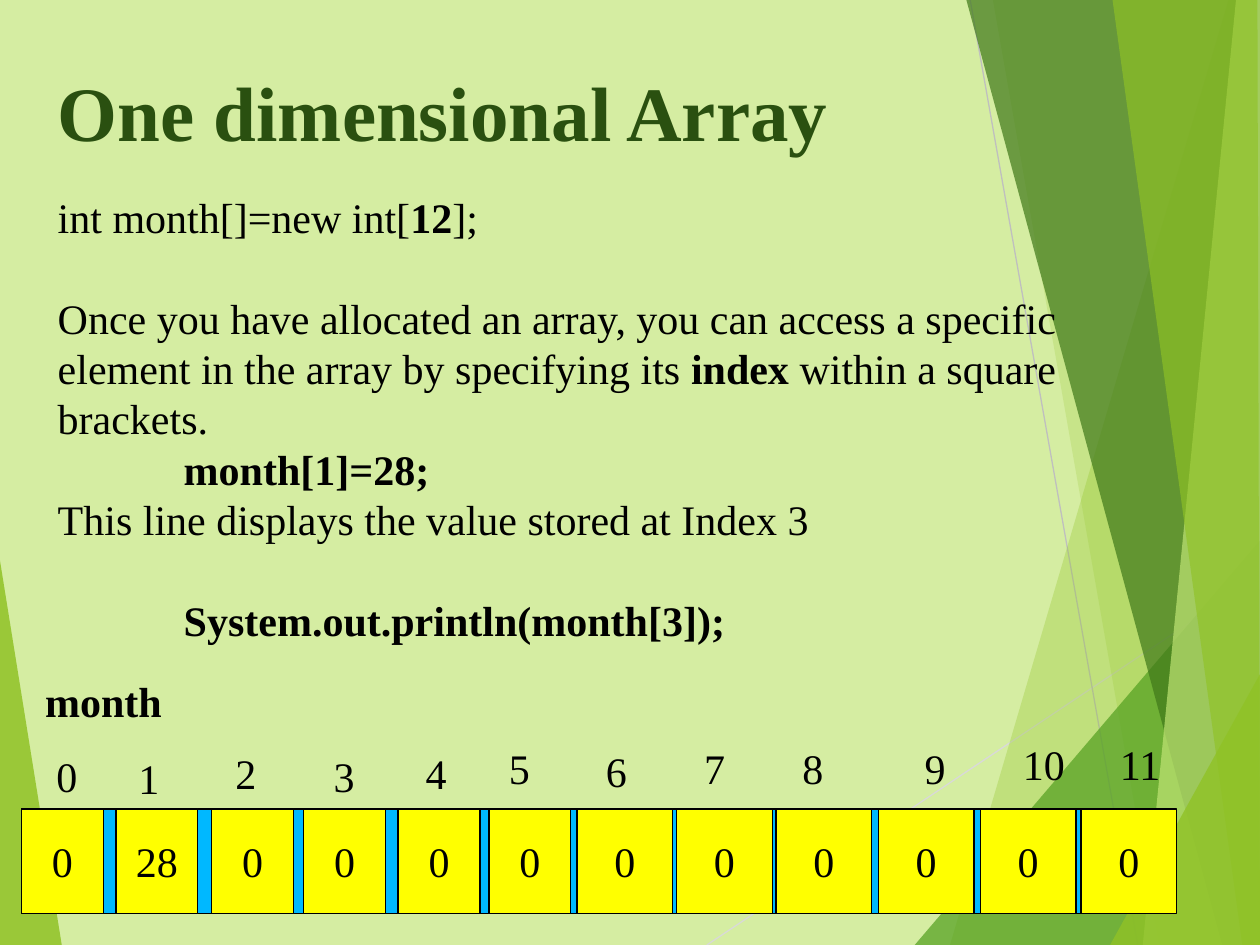
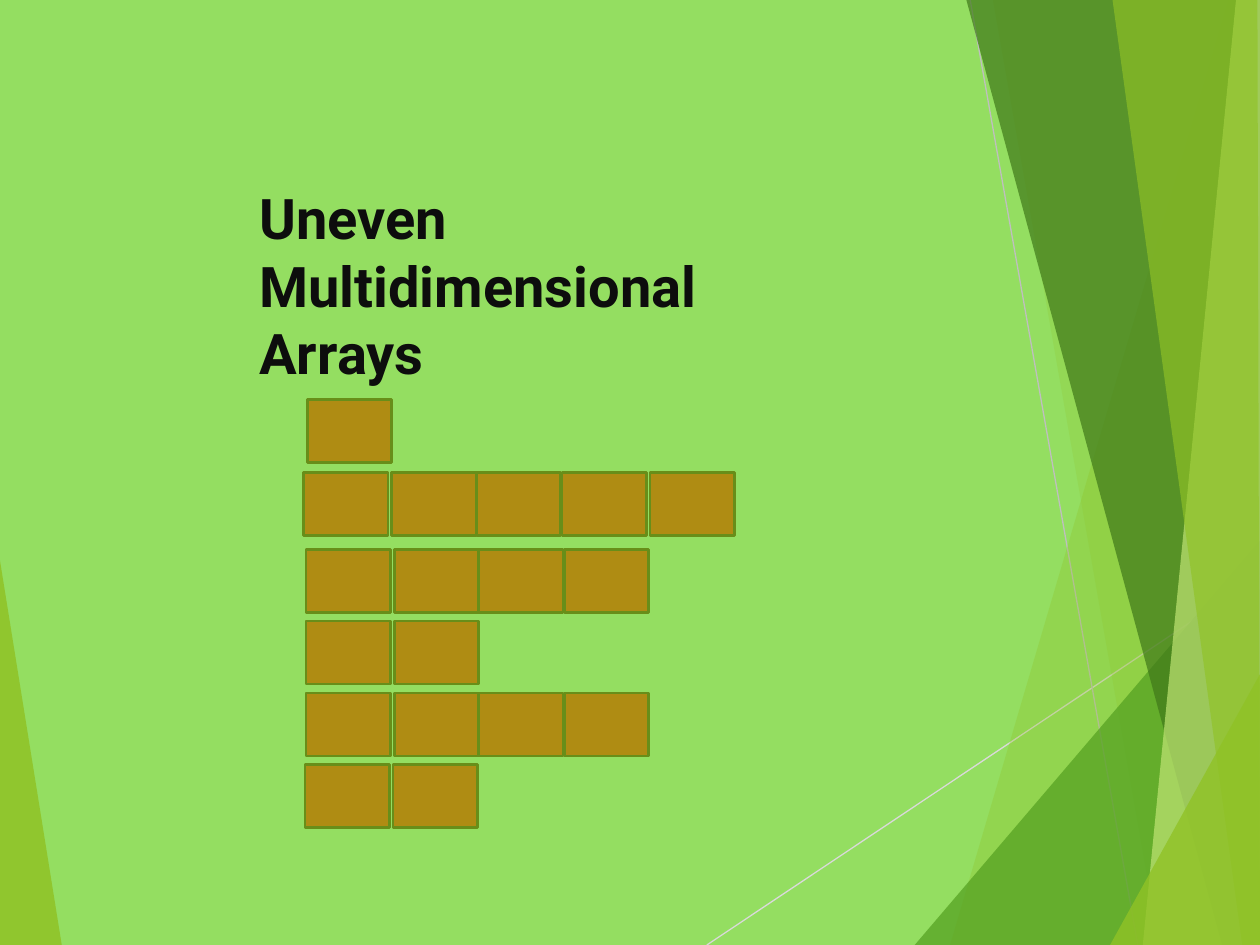
from lxml import etree
from pptx import Presentation
from pptx.dml.color import RGBColor
from pptx.enum import shapes, text
from pptx.oxml import ns
from pptx.util import Inches, Pt

WIDTH, HEIGHT = 10, 7.5
SERIF = {"name": "Times New Roman", "size": Pt(24), "color": "000000"}
SERIF_TITLE = {**SERIF, "size": Pt(44), "color": "2A5010", "bold": True}
ROBOTO_TITLE = {"name": "Roboto", "size": Pt(32), "color": "0D0D0D", "bold": True}
BLANK_LINE = Pt(28.8)

# Shared backdrop: colour, opacity in percent, corner points
LEFT_BAND = ("90C226", 85, [(0, 4.45), (0.49, HEIGHT), (0, HEIGHT)])
RAYS = [("D9D9D9", (5.61, HEIGHT), (WIDTH, 4.57)),
        ("BFBFBF", (7.7, 0), (9.03, HEIGHT))]
RIGHT_BANDS = [
    ("90C226", 30, [(9.75, 0), (7.54, HEIGHT), (WIDTH, HEIGHT), (WIDTH, 0)]),
    ("90C226", 20, [(7.88, 0), (9.2, HEIGHT), (WIDTH, HEIGHT), (WIDTH, 0)]),
    ("54A021", 72, [(7.26, HEIGHT), (WIDTH, 4.29), (WIDTH, HEIGHT)]),
    ("3F7819", 70, [(7.67, 0), (9.7, HEIGHT), (WIDTH, HEIGHT), (WIDTH, 0)]),
    ("C0E474", 70, [(9.81, 0), (9.07, HEIGHT), (WIDTH, HEIGHT), (WIDTH, 0)]),
    ("90C226", 65, [(8.83, 0), (9.86, HEIGHT), (WIDTH, HEIGHT), (9.98, 0)]),
    ("90C226", 80, [(8.81, HEIGHT), (WIDTH, 5.35), (WIDTH, HEIGHT)]),
]

# Paragraphs: indent in inches, space before, spans of (words, bold)
EXPLANATION = [
    (0, 0, [("int month[]=new int[", False), ("12", True), ("];", False)]),
    (0, BLANK_LINE, [
        ("Once you have allocated an array, you can access a specific "
         "element in the array by specifying its ", False),
        ("index", True), (" within a square brackets.", False)]),
    (1, 0, [("month[1]=28;", True)]),
    (0, 0, [("This line displays the value stored at Index 3", False)]),
    (1, BLANK_LINE, [("System.out.println(month[3]);", True)]),
]

# Value, cell left, cell width, index label left and top
NARROW, WIDE = 0.65, 0.76
MONTH_CELLS = [
    (0, 0.17, NARROW, 0.35, 5.91), (28, 0.92, NARROW, 1, 5.92),
    (0, 1.68, NARROW, 1.77, 5.88), (0, 2.41, NARROW, 2.55, 5.91),
    (0, 3.16, NARROW, 3.28, 5.88), (0, 3.88, NARROW, 3.94, 5.84),
    (0, 4.58, WIDE, 4.71, 5.87), (0, 5.37, WIDE, 5.49, 5.84),
    (0, 6.16, WIDE, 6.27, 5.84), (0, 6.97, WIDE, 7.24, 5.84),
    (0, 7.78, WIDE, 8.02, 5.81), (0, 8.58, WIDE, 8.79, 5.81),
]
MONTH_TOP, MONTH_HEIGHT = 6.42, 0.83

# Left, top and number of cells in each row
UNEVEN_ROWS = [(2.44, 3.17, 1), (2.41, 3.75, 5), (2.43, 4.36, 4),
               (2.43, 4.93, 2), (2.43, 5.5, 4), (2.42, 6.07, 2)]
COLUMN_OFFSETS = [0, 0.7, 1.37, 2.05, 2.75]


def rgb(color):
    return RGBColor.from_string(color)


def paint(shape, fill, line=None, width=0.75):
    shape.shadow.inherit = False
    shape.fill.solid()
    shape.fill.fore_color.rgb = rgb(fill)
    if line:
        shape.line.color.rgb = rgb(line)
        shape.line.width = Pt(width)
    else:
        shape.line.fill.background()


def add_span(para, words, style):
    span = para.add_run()
    span.text = words
    for name, value in style.items():
        if name == "color":
            span.font.color.rgb = rgb(value)
        else:
            setattr(span.font, name, value)


def add_box(page, area, words, style):
    """Add a text box that grows with its unwrapped lines."""
    frame = page.shapes.add_textbox(*map(Inches, area)).text_frame
    frame.word_wrap = False
    frame.auto_size = text.MSO_AUTO_SIZE.SHAPE_TO_FIT_TEXT
    para = frame.paragraphs[0]
    for number, line in enumerate(words.split("\n")):
        if number:
            para.add_line_break()
        add_span(para, line, style)


def add_rectangle(page, area, fill, line, width=0.75):
    shape = page.shapes.add_shape(shapes.MSO_SHAPE.RECTANGLE, *map(Inches, area))
    paint(shape, fill, line, width)
    return shape


def add_band(page, color, opacity, corners):
    start, *others = [tuple(map(Inches, corner)) for corner in corners]
    builder = page.shapes.build_freeform(*start)
    builder.add_line_segments(others, close=True)
    band = builder.convert_to_shape()
    paint(band, color)
    tint = band.fill._xPr.find(".//" + ns.qn("a:srgbClr"))
    etree.SubElement(tint, ns.qn("a:alpha")).set("val", str(opacity * 1000))


def add_ray(page, color, start, end):
    ray = page.shapes.add_connector(
        shapes.MSO_CONNECTOR.STRAIGHT, *map(Inches, start + end))
    ray.line.color.rgb = rgb(color)
    ray.line.width = Pt(0.75)
    etree.SubElement(ray._element.spPr, ns.qn("a:effectLst"))


def add_page(deck, background):
    """Add a blank slide with the shared backdrop."""
    page = deck.slides.add_slide(deck.slide_layouts[6])
    page.background.fill.solid()
    page.background.fill.fore_color.rgb = rgb(background)
    add_band(page, *LEFT_BAND)
    for ray in RAYS:
        add_ray(page, *ray)
    for band in RIGHT_BANDS:
        add_band(page, *band)
    return page


def add_explanation(page):
    box = page.shapes.add_textbox(*map(Inches, (0.36, 1.47, 8.39, 3.7)))
    frame = box.text_frame
    frame.word_wrap = True
    for number, (indent, before, spans) in enumerate(EXPLANATION):
        para = frame.add_paragraph() if number else frame.paragraphs[0]
        para.space_before = before
        para._p.get_or_add_pPr().set("marL", str(Inches(indent)))
        for words, bold in spans:
            add_span(para, words, {**SERIF, "bold": bold})


def add_month_array(page):
    add_rectangle(page, (0.17, MONTH_TOP, 9, MONTH_HEIGHT), "00B8FF", "000000")
    for index, (value, left, width, label_left, label_top) in enumerate(MONTH_CELLS):
        cell = add_rectangle(
            page, (left, MONTH_TOP, width, MONTH_HEIGHT), "FFFF00", "000000")
        cell.text_frame.vertical_anchor = text.MSO_ANCHOR.MIDDLE
        para = cell.text_frame.paragraphs[0]
        para.alignment = text.PP_ALIGN.CENTER
        add_span(para, str(value), SERIF)
        label_width = 0.37 if index < 10 else 0.54
        add_box(page, (label_left, label_top, label_width, 0.5), str(index), SERIF)
    add_box(page, (0.26, 5.31, 1.13, 0.5), "month", {**SERIF, "bold": True})


def add_uneven_array(page):
    for left, top, count in UNEVEN_ROWS:
        for offset in COLUMN_OFFSETS[:count]:
            add_rectangle(page, (left + offset, top, 0.67, 0.5),
                          "AF8C13", "688E19", 1.5)


def main():
    deck = Presentation()
    deck.slide_width, deck.slide_height = Inches(WIDTH), Inches(HEIGHT)

    page = add_page(deck, "D5EDA2")
    add_explanation(page)
    add_month_array(page)
    add_box(page, (0.36, 0.46, 6.35, 0.84), "One dimensional Array", SERIF_TITLE)

    page = add_page(deck, "94DE61")
    add_box(page, (1.96, 1.41, 5.07, 1.25), "Uneven \nMultidimensional Arrays",
            ROBOTO_TITLE)
    add_uneven_array(page)

    deck.save("out.pptx")


if __name__ == "__main__":
    main()
